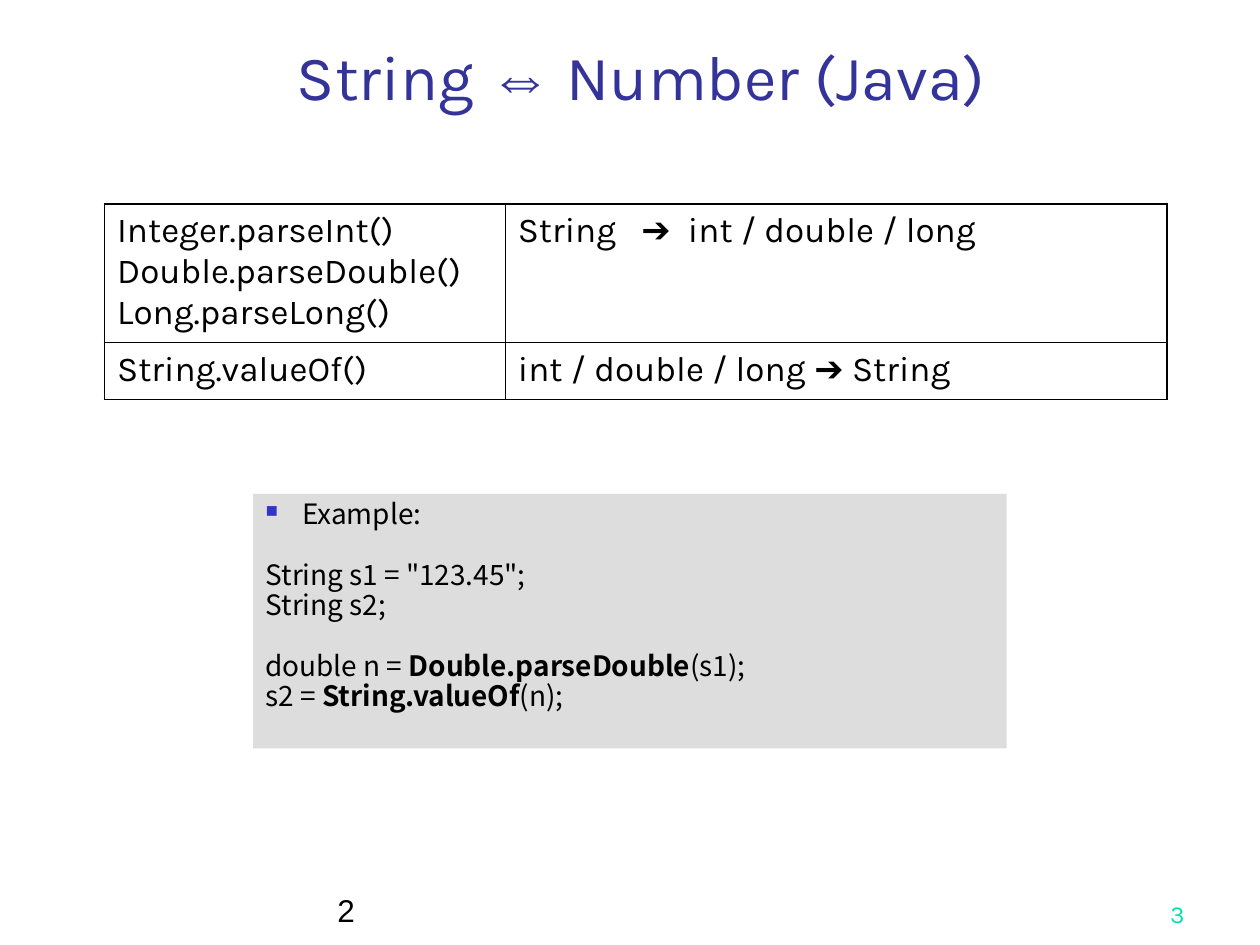
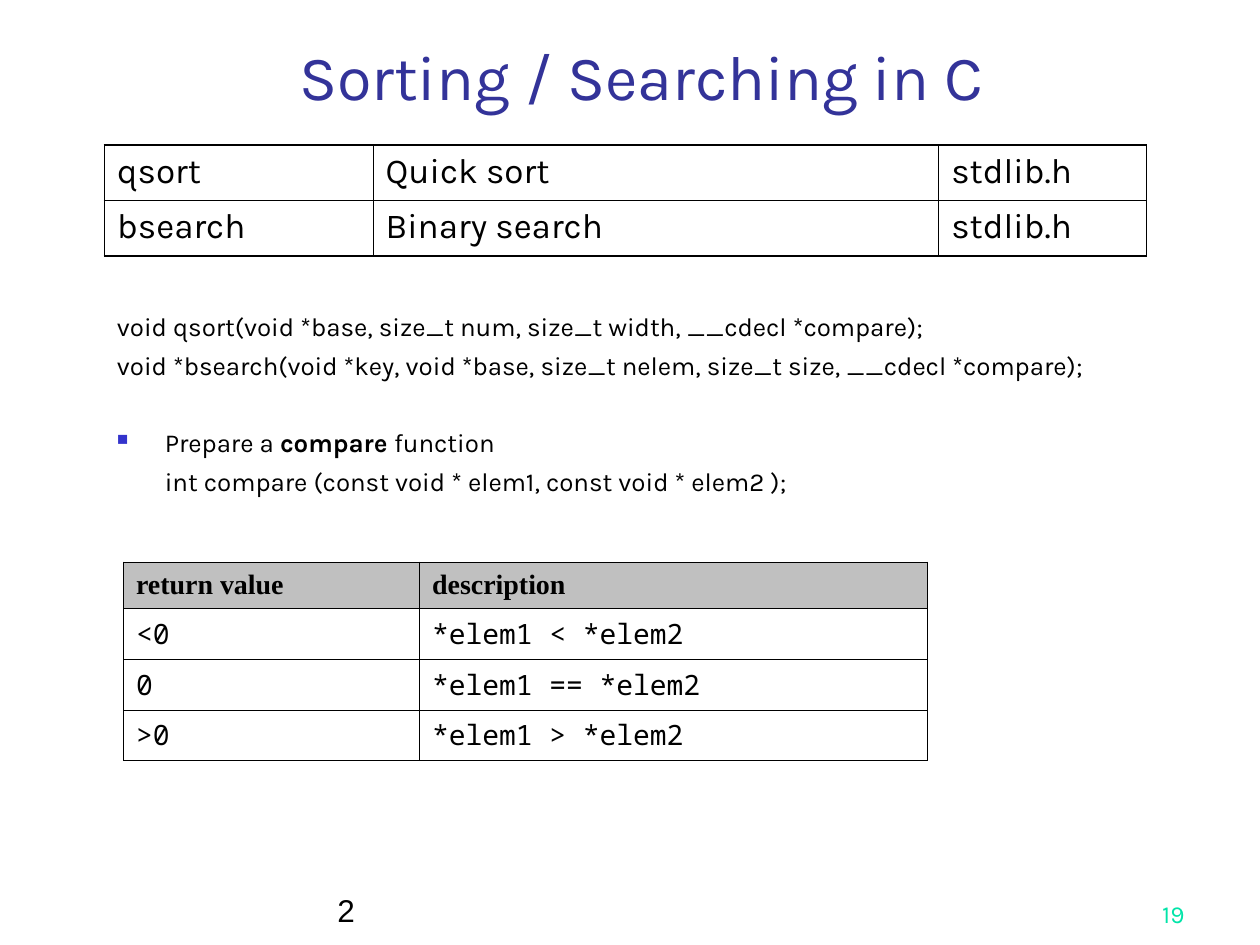
"""Build two slides on Java conversions and C sorting."""
from dataclasses import dataclass
from typing import NamedTuple

from lxml import etree
from pptx import Presentation
from pptx import util as u
from pptx.dml.color import RGBColor
from pptx.enum import shapes, text
from pptx.oxml import ns

HUES = {"title": "333399", "ink": "000000", "mark": "3333CC", "page": "00E4A8",
        "panel": "DDDDDD", "head": "C0C0C0"}
LEFT, MID, RIGHT = text.PP_ALIGN.LEFT, text.PP_ALIGN.CENTER, text.PP_ALIGN.RIGHT
TOP, BASE = text.MSO_ANCHOR.TOP, text.MSO_ANCHOR.BOTTOM
CENTER = text.MSO_ANCHOR.MIDDLE


class Run(NamedTuple):
    """A piece of text that differs from its neighbours."""
    words: str
    bold: bool | None = None
    face: str | None = None


@dataclass
class Line:
    """A paragraph with its spacing, indent and tab stops."""
    runs: tuple[Run, ...]
    before: float = 0
    indent: float = 0
    bullet: bool = False
    tabs: tuple[float, ...] = ()


@dataclass
class Style:
    """Font, colour and placing of a block of text."""
    size: float
    face: str = "Karla"
    hue: str = "ink"
    bold: bool = False
    align: text.PP_ALIGN = LEFT
    anchor: text.MSO_ANCHOR = TOP
    pitch: float | None = None


@dataclass
class Grid:
    """A table: place, column widths, row heights, cells and borders."""
    left: float
    top: float
    cols: list[float]
    rows: list[float]
    cells: list[list[list[Line]]]
    body: Style
    head: Style | None = None
    edge: float = 1.08
    inner: float = 0.45


TITLE = Style(36, hue="title", align=MID, anchor=BASE)
NOTE = Style(18, "Arial", anchor=BASE)
PAGE = Style(14, hue="page", align=RIGHT, anchor=BASE)
CELL = Style(20)
CODE = Style(16, "Noto Sans CJK SC", pitch=17.3)
PROSE = Style(14.8)
HEAD = Style(16, "Times New Roman", bold=True, anchor=CENTER)
MONO = Style(16, "Noto Sans Mono", anchor=CENTER)
ARROW = Run("➔", face="Arial")


def line(*parts: str | Run, **opts) -> Line:
    """Make a paragraph from strings and runs."""
    return Line(tuple(p if isinstance(p, Run) else Run(p) for p in parts), **opts)


def color(name: str) -> RGBColor:
    """Look up a named colour."""
    return RGBColor.from_string(HUES[name])


def node(parent, tag: str, **attrs):
    """Append a drawing element with attributes."""
    return etree.SubElement(parent, ns.qn("a:" + tag), attrs)


def mark(para, item: Line) -> None:
    """Set indent, bullet and tab stops of a paragraph."""
    props = para._p.get_or_add_pPr()
    if item.indent:
        wide = u.Inches(item.indent)
        props.set("marL", str(wide))
        props.set("indent", str(-wide if item.bullet else 0))
    if item.bullet:
        node(node(props, "buClr"), "srgbClr", val=HUES["mark"])
        node(props, "buSzPct", val="60000")
        node(props, "buChar", char="■")
    if item.tabs:
        stops = node(props, "tabLst")
        for pos in item.tabs:
            node(stops, "tab", pos=str(u.Inches(pos)), algn="l")


def write(frame, lines: list[Line], style: Style) -> None:
    """Write paragraphs into a text frame."""
    for num, item in enumerate(lines):
        para = frame.add_paragraph() if num else frame.paragraphs[0]
        mark(para, item)
        form = {"alignment": style.align, "space_before": u.Pt(item.before)}
        if style.pitch:
            form["line_spacing"] = u.Pt(style.pitch)
        for key, val in form.items():
            setattr(para, key, val)
        for part in item.runs:
            run = para.add_run()
            run.text = part.words
            font = {"size": u.Pt(style.size), "name": part.face or style.face,
                    "bold": style.bold if part.bold is None else part.bold}
            for key, val in font.items():
                setattr(run.font, key, val)
            run.font.color.rgb = color(style.hue)


def block(slide, spot: tuple[float, ...], lines: list[Line], style: Style,
          fill: str | None = None) -> None:
    """Draw a text box, or a filled rectangle holding text."""
    area = [u.Inches(n) for n in spot]
    if fill:
        box = slide.shapes.add_shape(shapes.MSO_SHAPE.RECTANGLE, *area)
        box.shadow.inherit = False
        box.fill.solid()
        box.fill.fore_color.rgb = color(fill)
        box.line.fill.background()
    else:
        box = slide.shapes.add_textbox(*area)
    frame = box.text_frame
    form = {"word_wrap": True, "auto_size": text.MSO_AUTO_SIZE.NONE,
            "vertical_anchor": style.anchor}
    for key, val in form.items():
        setattr(frame, key, val)
    write(frame, lines, style)


def table(slide, grid: Grid) -> None:
    """Draw a table with its outer and inner borders."""
    high, wide = len(grid.rows), len(grid.cols)
    area = (grid.left, grid.top, sum(grid.cols), sum(grid.rows))
    tab = slide.shapes.add_table(high, wide, *map(u.Inches, area)).table
    for key in ("first_row", "horz_banding"):
        setattr(tab, key, False)
    for col, size in zip(tab.columns, grid.cols):
        col.width = u.Inches(size)
    for row, size in zip(tab.rows, grid.rows):
        row.height = u.Inches(size)
    for r, row in enumerate(grid.cells):
        for c, lines in enumerate(row):
            cell = tab.cell(r, c)
            props = cell._tc.get_or_add_tcPr()
            outer = {"L": c == 0, "R": c == wide - 1, "T": r == 0, "B": r == high - 1}
            for side, rim in outer.items():
                width = u.Pt(grid.edge if rim else grid.inner)
                rule = node(props, "ln" + side, w=str(width))
                node(node(rule, "solidFill"), "srgbClr", val=HUES["ink"])
            top = grid.head if r == 0 else None
            if top:
                cell.fill.solid()
                cell.fill.fore_color.rgb = color("head")
            else:
                cell.fill.background()
            style = top or grid.body
            cell.vertical_anchor = style.anchor
            write(cell.text_frame, lines, style)


def start(deck, title: Line, page: str):
    """Add a slide with its title and footers."""
    slide = deck.slides.add_slide(deck.slide_layouts[6])
    block(slide, (0.83, 0.21, 8.52, 0.74), [title], TITLE)
    block(slide, (2.58, 6.92, 5.42, 0.5), [line("2")], NOTE)
    block(slide, (7.42, 6.92, 2.08, 0.5), [line(page)], PAGE)
    return slide


def plain(*rows: tuple[str, ...]) -> list[list[list[Line]]]:
    """Turn rows of strings into table cells."""
    return [[[line(word)] for word in row] for row in rows]


def java(deck) -> None:
    """Build the slide on strings and numbers."""
    slide = start(deck, line("String ", Run("⇔", face="Arial"), " Number (Java)"), "3")
    parse = [line(f"{kind}()") for kind in
             ("Integer.parseInt", "Double.parseDouble", "Long.parseLong")]
    cells = [
        [parse, [line("String\t", ARROW, "\tint / double / long", tabs=(0.98, 1.35))]],
        [[line("String.valueOf()")], [line("int / double / long ", ARROW, " String")]],
    ]
    table(slide, Grid(0.83, 1.62, [3.18, 5.25], [1.1, 0.45], cells, CELL))
    block(slide, (2.01, 3.92, 5.98, 2.02), [
        line("Example:", indent=0.29, bullet=True),
        line('String s1 = "123.45";', before=CODE.pitch),
        line("String s2;"),
        line("double n = ", Run("Double.parseDouble", True), "(s1);", before=CODE.pitch),
        line("s2 = ", Run("String.valueOf", True), "(n);"),
    ], CODE, "panel")


def sort(deck) -> None:
    """Build the slide on sorting and searching."""
    slide = start(deck, line("Sorting / Searching in C"), "19")
    cells = plain(("qsort", "Quick sort", "stdlib.h"),
                  ("bsearch", "Binary search", "stdlib.h"))
    table(slide, Grid(0.83, 1.15, [2.13, 4.49, 1.65], [0.44] * 2, cells, CELL))
    gap = 4.4
    block(slide, (0.83, 2.42, 8.5, 1.57), [
        line("void qsort(void *base, size_t num, size_t width, __cdecl *compare);"),
        line("void *bsearch(void *key, void *base, size_t nelem, size_t size, "
             "__cdecl *compare);", before=gap),
        line("Prepare a ", Run("compare ", True), "function",
             before=26, indent=0.38, bullet=True),
        line("int compare (const void * elem1, const void * elem2 );",
             before=gap, indent=0.38),
    ], PROSE)
    cells = plain(("return value", "description"), ("<0", "*elem1 < *elem2"),
                  ("0", "*elem1 == *elem2"), (">0", "*elem1 > *elem2"))
    table(slide, Grid(0.98, 4.46, [2.35, 4.03], [0.37] + [0.4] * 3, cells,
                      MONO, HEAD, 0.34, 0.34))


def main() -> None:
    """Build and save the deck."""
    deck = Presentation()
    deck.slide_width, deck.slide_height = u.Inches(10), u.Inches(7.5)
    java(deck)
    sort(deck)
    deck.save("out.pptx")


if __name__ == "__main__":
    main()
